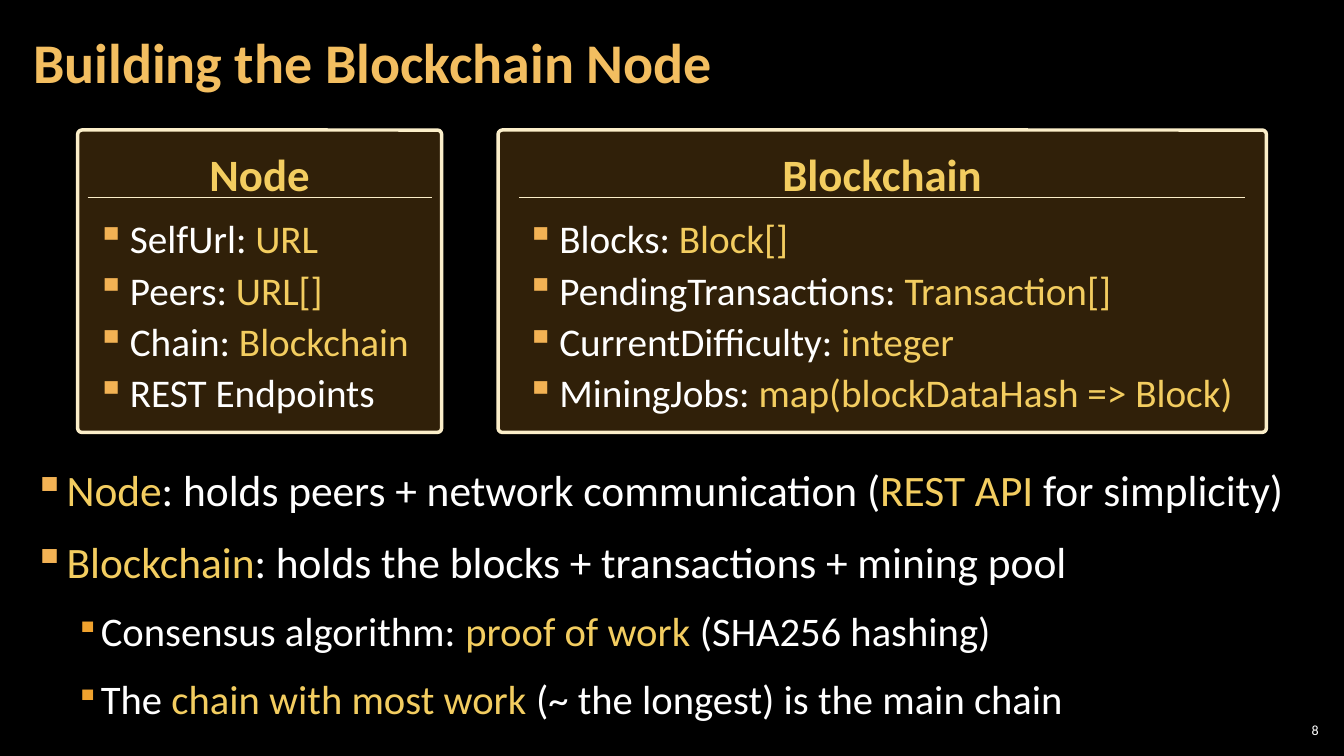
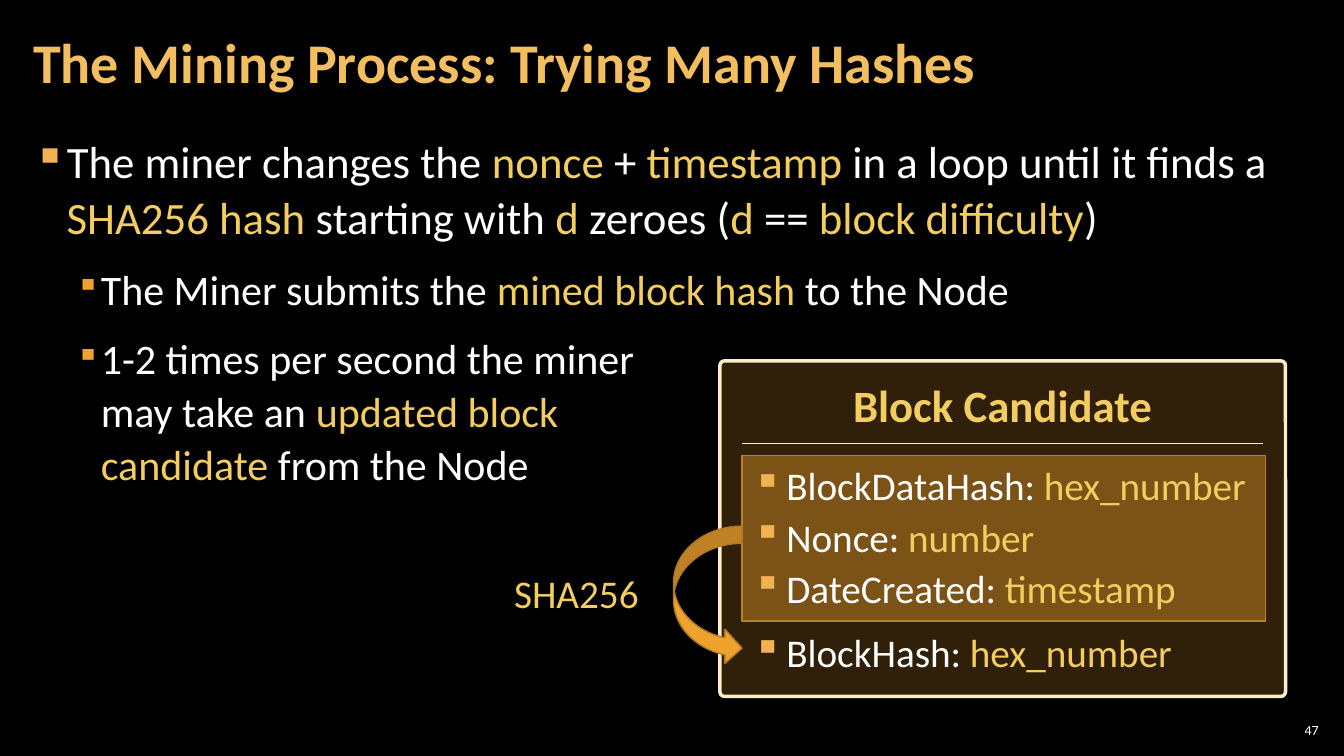
from lxml import etree
from pptx import Presentation
from pptx.dml.color import RGBColor
from pptx.enum.shapes import MSO_CONNECTOR, MSO_SHAPE
from pptx.enum.text import MSO_ANCHOR, PP_ALIGN
from pptx.oxml.ns import qn
from pptx.util import Inches, Pt

LEFT, CENTER, RIGHT = PP_ALIGN.LEFT, PP_ALIGN.CENTER, PP_ALIGN.RIGHT
TOP, MIDDLE = MSO_ANCHOR.TOP, MSO_ANCHOR.MIDDLE
RECT, ROUNDED = MSO_SHAPE.RECTANGLE, MSO_SHAPE.ROUNDED_RECTANGLE
CURVED_ARROW, STRAIGHT = MSO_SHAPE.CURVED_RIGHT_ARROW, MSO_CONNECTOR.STRAIGHT

BLACK = RGBColor(0x00, 0x00, 0x00)
WHITE = RGBColor(0xFF, 0xFF, 0xFF)
TITLE_GOLD = RGBColor(0xF3, 0xBE, 0x60)
ACCENT = RGBColor(0xF3, 0xCD, 0x60)
BULLET = RGBColor(0xF2, 0xB2, 0x54)
ORANGE = RGBColor(0xF0, 0xA2, 0x2E)
BROWN = RGBColor(0xB2, 0x78, 0x22)
CREAM = RGBColor(0xFB, 0xEE, 0xC9)

FONT = "Calibri"
WIDTH, HEIGHT = 13.33, 7.5
MARGIN = 0.21
BODY_WIDTH = WIDTH - 2 * MARGIN
BODY_BOTTOM = 7.35
BODY_INSETS = (0.12, 0.04)
CARD_SIZE = 28

# Text between asterisks takes the accent colour; body lines are (level, text).
NODE_SLIDE = {
    "title": "Building the Blockchain Node",
    "number": "8",
    "body_top": 4.53,
    "sizes": (31, 29),
    "body": [
        (0, "*Node*: holds peers + network communication (*REST API *for simplicity)"),
        (0, "*Blockchain*: holds the blocks + transactions + mining pool"),
        (1, "Consensus algorithm: *proof of work *(SHA256 hashing)"),
        (1, "The *chain with most work *(~ the longest) is the main chain"),
    ],
}
MINING_SLIDE = {
    "title": "The Mining Process: Trying Many Hashes",
    "number": "47",
    "body_top": 1.26,
    "sizes": (32, 30),
    "body": [
        (0, "The miner changes the *nonce* + *timestamp* in a loop until it finds a "
            "*SHA256 hash *starting with *d* zeroes (*d* == *block difficulty*)"),
        (1, "The Miner submits the *mined block hash *to the Node"),
        (1, "1-2 times per second the miner\nmay take an "
            "*updated block\ncandidate* from the Node"),
    ],
}
NODE_CARD = {
    "title": "Node", "box": (0.77, 1.29, 3.61, 3), "rule_inset": 0.1, "rule_drop": 0.67,
    "list": (0.86, 2.08, 3.42, 2.11),
    "fields": ["SelfUrl: *URL*", "Peers: *URL[]*", "Chain: *Blockchain*", "REST Endpoints"],
}
CHAIN_CARD = {
    "title": "Blockchain", "box": (4.94, 1.29, 7.62, 3), "rule_inset": 0.21, "rule_drop": 0.67,
    "list": (5.12, 2.08, 7.36, 2.11),
    "fields": ["Blocks: *Block[]*", "PendingTransactions: *Transaction[]*",
               "CurrentDifficulty: *integer*",
               "MiningJobs: *map(blockDataHash => Block)*"],
}
CANDIDATE_CARD = {
    "title": "Block Candidate", "box": (7.14, 3.58, 5.61, 3.33),
    "rule_inset": 0.22, "rule_drop": 0.82,
    "list": (7.37, 4.53, 5.31, 2.24),
    "fields": ["BlockDataHash: *hex_number*", "Nonce: *number*",
               "DateCreated: *timestamp*", "BlockHash: *hex_number*"],
    "last_gap": 12,
}
HASHED_FIELDS = (7.36, 4.52, 5.19, 1.64)
HASH_ARROW = (6.68, 5.22, 0.68, 1.38)
HASH_LABEL = (5, 5.6, 1.69, 0.57)


def inches(box):
    return [Inches(length) for length in box]


def add_bullet(paragraph, color, percent, left, hang):
    properties = paragraph._p.get_or_add_pPr()
    properties.set("marL", str(Inches(left)))
    properties.set("indent", str(-Inches(hang)))
    bullet_color = etree.SubElement(properties, qn("a:buClr"))
    etree.SubElement(bullet_color, qn("a:srgbClr")).set("val", str(color))
    etree.SubElement(properties, qn("a:buSzPct")).set("val", str(percent * 1000))
    etree.SubElement(properties, qn("a:buChar")).set("char", "▪")


def write(paragraph, text, *, size, color=WHITE, bold=False, align=LEFT,
          spacing=1.0, before=0, after=0, bullet=None):
    """Fill a paragraph, colouring the stretches between asterisks."""
    if bullet:
        add_bullet(paragraph, *bullet)
    paragraph.alignment = align
    paragraph.line_spacing = spacing
    paragraph.space_before, paragraph.space_after = Pt(before), Pt(after)
    for index, stretch in enumerate(text.split("*")):
        for row, piece in enumerate(stretch.split("\n")):
            if row:
                paragraph.add_line_break()
            if not piece:
                continue
            run = paragraph.add_run()
            run.text = piece
            font = run.font
            font.name, font.size, font.bold = FONT, Pt(size), bold
            font.color.rgb = ACCENT if index % 2 else color


def add_text(slide, box, lines, *, insets=(0.1, 0.05), anchor=TOP, wrap=True):
    """Add a text box from (text, format) pairs, one per paragraph."""
    frame = slide.shapes.add_textbox(*inches(box)).text_frame
    frame.word_wrap, frame.vertical_anchor = wrap, anchor
    frame.margin_left = frame.margin_right = Inches(insets[0])
    frame.margin_top = frame.margin_bottom = Inches(insets[1])
    for index, (text, style) in enumerate(lines):
        paragraph = frame.add_paragraph() if index else frame.paragraphs[0]
        write(paragraph, text, **style)


def add_panel(slide, kind, box, line_color, line_width, opacity=100):
    panel = slide.shapes.add_shape(kind, *inches(box))
    panel.shadow.inherit = False
    panel.fill.solid()
    panel.fill.fore_color.rgb = ORANGE
    if opacity < 100:
        color = panel._element.spPr.find(qn("a:solidFill")).find(qn("a:srgbClr"))
        etree.SubElement(color, qn("a:alpha")).set("val", str(opacity * 1000))
    panel.line.color.rgb = line_color
    panel.line.width = Pt(line_width)
    return panel


def add_card(slide, card):
    left, top, width, _ = card["box"]
    panel = add_panel(slide, ROUNDED, card["box"], CREAM, 2.5, opacity=20)
    panel.adjustments[0] = 0.014
    panel.text_frame.vertical_anchor = TOP
    write(panel.text_frame.paragraphs[0], card["title"], size=32, color=ACCENT,
          bold=True, align=CENTER, spacing=1.2)

    inset, rule_y = card["rule_inset"], top + card["rule_drop"]
    rule = slide.shapes.add_connector(
        STRAIGHT, *inches((left + inset, rule_y, left + width - inset, rule_y)))
    rule.line.color.rgb = CREAM
    rule.line.width = Pt(1)
    etree.SubElement(rule._element.spPr, qn("a:effectLst"))

    fields = card["fields"]
    gaps = [0] + [3] * (len(fields) - 2) + [card.get("last_gap", 3)]
    add_text(slide, card["list"], [
        (field, dict(size=CARD_SIZE, before=gap, bullet=(BULLET, 100, 0.33, 0.33)))
        for field, gap in zip(fields, gaps)])


def add_content_slide(deck, content):
    """Add a slide with its page number, bulleted body and title."""
    slide = deck.slides.add_slide(deck.slide_layouts[6])
    add_text(slide, (12.65, 7.14, 0.47, 0.21),
             [(content["number"], dict(size=10, align=RIGHT))],
             insets=(0.04, 0.04), anchor=MIDDLE)

    bullets = [(BULLET, 100, 0.33, 0.33), (ORANGE, 80, 0.67, 0.25)]
    top = content["body_top"]
    add_text(slide, (MARGIN, top, BODY_WIDTH, BODY_BOTTOM - top), [
        (text, dict(size=content["sizes"][level], spacing=1.05, after=6,
                    before=6 if index else 0, bullet=bullets[level]))
        for index, (level, text) in enumerate(content["body"])], insets=BODY_INSETS)

    add_text(slide, (MARGIN, 0.04, 10.47, 1.21),
             [(content["title"], dict(size=40, color=TITLE_GOLD, bold=True, spacing=0.9))],
             insets=BODY_INSETS, anchor=MIDDLE)
    return slide


def main():
    deck = Presentation()
    deck.slide_width, deck.slide_height = Inches(WIDTH), Inches(HEIGHT)
    background = deck.slide_master.background.fill
    background.solid()
    background.fore_color.rgb = BLACK

    node_slide = add_content_slide(deck, NODE_SLIDE)
    for card in (NODE_CARD, CHAIN_CARD):
        add_card(node_slide, card)

    mining_slide = add_content_slide(deck, MINING_SLIDE)
    add_panel(mining_slide, RECT, HASHED_FIELDS, BROWN, 1, opacity=40)
    add_card(mining_slide, CANDIDATE_CARD)
    add_panel(mining_slide, CURVED_ARROW, HASH_ARROW, BROWN, 1)
    add_text(mining_slide, HASH_LABEL, [("SHA256", dict(size=CARD_SIZE, color=ACCENT))],
             wrap=False)

    deck.save("out.pptx")


if __name__ == "__main__":
    main()
